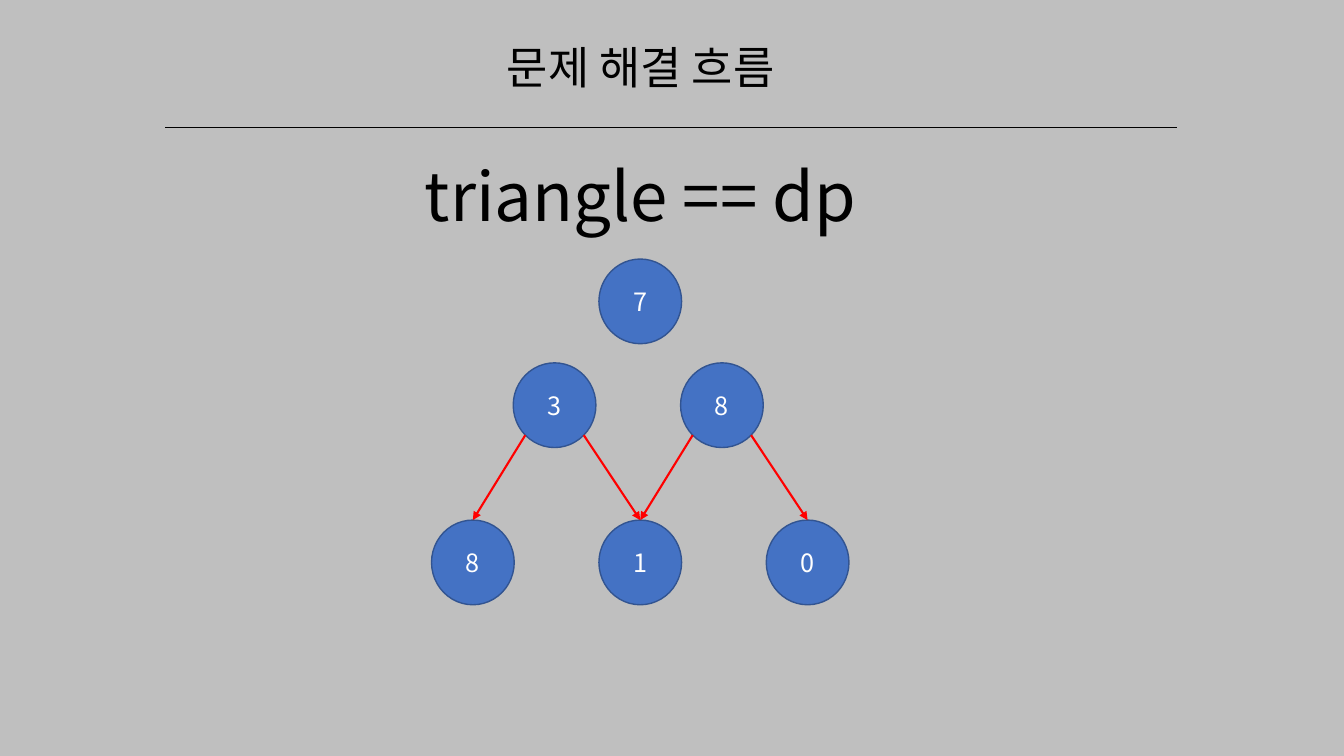
from math import sqrt

from lxml import etree
from pptx import Presentation
from pptx.dml.color import RGBColor
from pptx.enum.shapes import MSO_CONNECTOR, MSO_SHAPE
from pptx.enum.text import MSO_ANCHOR, PP_ALIGN
from pptx.oxml.ns import qn
from pptx.util import Inches, Pt

STRAIGHT = MSO_CONNECTOR.STRAIGHT
OVAL = MSO_SHAPE.OVAL
MIDDLE = MSO_ANCHOR.MIDDLE
CENTER = PP_ALIGN.CENTER

FONT = "Noto Sans CJK KR"
COLORS = {
    "background": "BFBFBF",
    "text": "000000",
    "node": "4472C4",
    "node_line": "325491",
    "node_text": "FFFFFF",
    "arrow": "FF0000",
}

# text, (left, top, width, height), size
HEADINGS = [
    ("문제 해결 흐름", (3.58, 0.34, 5.55, 0.64), 32),
    ("triangle == dp", (2.79, 1.48, 7.12, 0.91), 48),
]
RULE = ((1.64, 1.26), (11.67, 1.26))

# values, centre x of the row, top of the row
TRIANGLE = [
    (["7"], 6.35, 2.57),
    (["3", "8"], 6.33, 3.6),
    (["8", "1", "0"], 6.35, 5.16),
]
NODE_WIDTH, NODE_HEIGHT = 0.82, 0.84
NODE_PITCH = 1.66


def color(name):
    """Return the named colour."""
    return RGBColor.from_string(COLORS[name])


def write(shape, text, size, color_name):
    """Put one centred line of text in a shape."""
    paragraph = shape.text_frame.paragraphs[0]
    paragraph.text = text
    paragraph.alignment = CENTER
    font = paragraph.runs[0].font
    font.name = FONT
    font.size = Pt(size)
    font.color.rgb = color(color_name)
    east_asian = etree.SubElement(font._element, qn("a:ea"))
    east_asian.set("typeface", FONT)


def add_line(slide, start, end, color_name, width, arrow=False):
    """Draw a straight line, with an arrowhead at its end if asked."""
    points = [Inches(value) for value in (*start, *end)]
    connector = slide.shapes.add_connector(STRAIGHT, *points)
    connector.line.color.rgb = color(color_name)
    connector.line.width = Pt(width)
    if arrow:
        line = connector.line._get_or_add_ln()
        etree.SubElement(line, qn("a:tailEnd")).set("type", "triangle")
    etree.SubElement(connector._element.spPr, qn("a:effectLst"))


def add_heading(slide, text, box, size):
    """Add a centred heading."""
    heading = slide.shapes.add_textbox(*[Inches(value) for value in box])
    heading.text_frame.word_wrap = True
    write(heading, text, size, "text")


def add_node(slide, value, center_x, top):
    """Add one number of the triangle."""
    node = slide.shapes.add_shape(
        OVAL, Inches(center_x - NODE_WIDTH / 2), Inches(top),
        Inches(NODE_WIDTH), Inches(NODE_HEIGHT))
    node.shadow.inherit = False
    node.fill.solid()
    node.fill.fore_color.rgb = color("node")
    node.line.color.rgb = color("node_line")
    node.line.width = Pt(1)
    node.text_frame.vertical_anchor = MIDDLE
    write(node, value, 18, "node_text")


def row_centers(row):
    """Return the centre x of each node in a row."""
    values, middle, _ = row
    first = middle - NODE_PITCH * (len(values) - 1) / 2
    return [first + NODE_PITCH * index for index in range(len(values))]


def add_arrows(slide, parents, children):
    """Link each parent to the two children below it."""
    targets = row_centers(children)
    start_y = parents[2] + NODE_HEIGHT / 2 * (1 + 1 / sqrt(2))
    offset = NODE_WIDTH / 2 / sqrt(2)
    for index, center_x in enumerate(row_centers(parents)):
        for side, target in zip((-1, 1), targets[index:index + 2]):
            start = (center_x + side * offset, start_y)
            add_line(slide, start, (target, children[2]), "arrow", 1.5, True)


presentation = Presentation()
presentation.slide_width = Inches(13.33)
presentation.slide_height = Inches(7.5)
slide = presentation.slides.add_slide(presentation.slide_layouts[6])
slide.background.fill.solid()
slide.background.fill.fore_color.rgb = color("background")

add_line(slide, *RULE, "text", 0.5)
for heading in HEADINGS:
    add_heading(slide, *heading)
for row in TRIANGLE:
    for value, center_x in zip(row[0], row_centers(row)):
        add_node(slide, value, center_x, row[2])
add_arrows(slide, TRIANGLE[1], TRIANGLE[2])

presentation.save("out.pptx")
